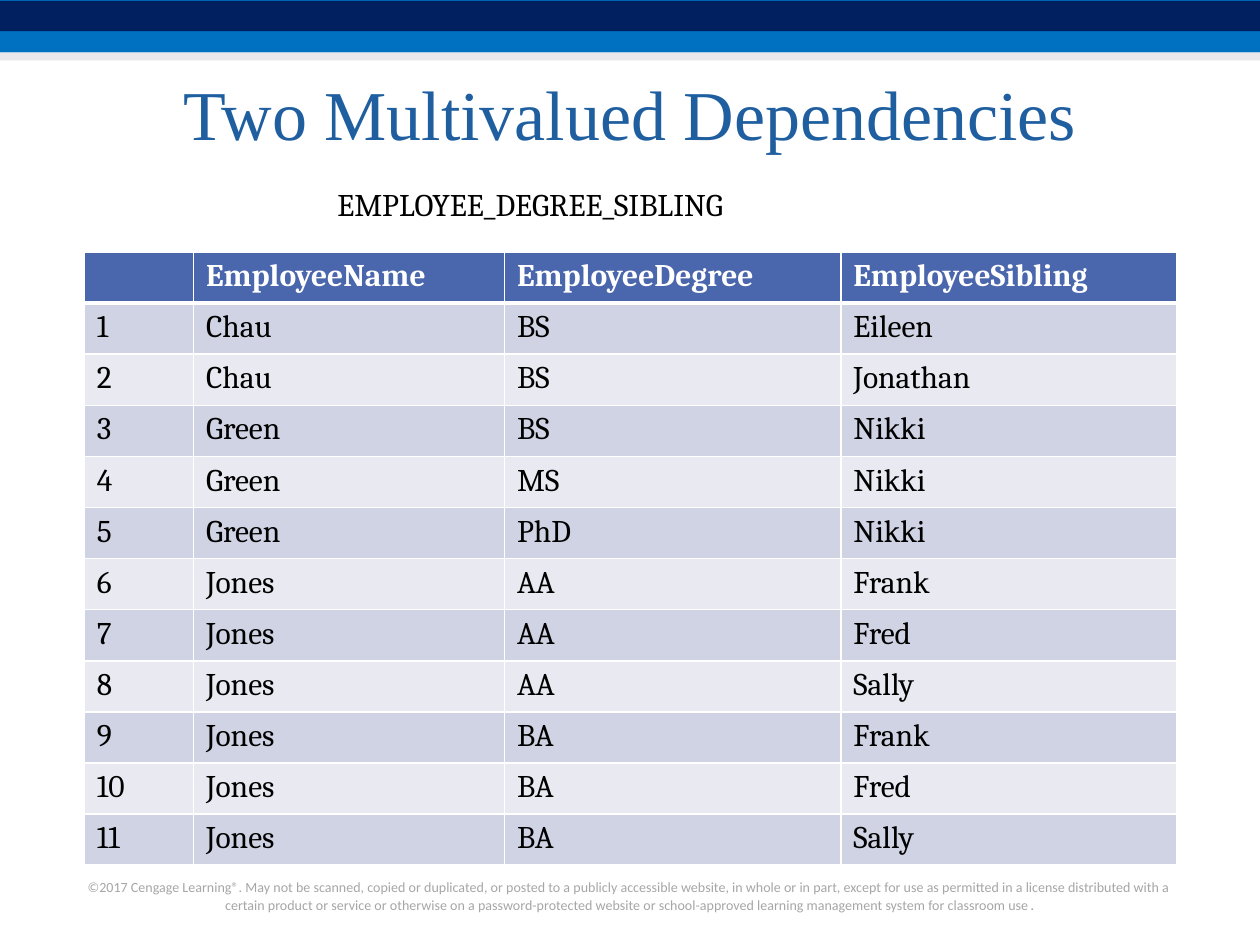
from lxml import etree
from pptx import Presentation
from pptx.dml.color import RGBColor
from pptx.enum.shapes import MSO_SHAPE
from pptx.enum.text import MSO_ANCHOR, MSO_AUTO_SIZE, PP_ALIGN
from pptx.oxml.ns import qn
from pptx.util import Cm, Pt

RECTANGLE = MSO_SHAPE.RECTANGLE
MIDDLE, TOP = MSO_ANCHOR.MIDDLE, MSO_ANCHOR.TOP
CENTER, LEFT = PP_ALIGN.CENTER, PP_ALIGN.LEFT
FIT_SHAPE = MSO_AUTO_SIZE.SHAPE_TO_FIT_TEXT

PAGE_WIDTH, PAGE_HEIGHT = 25.4, 19.05
ROW_HEIGHT = 1.03
COLUMN_WIDTHS = (2.2, 6.27, 6.78, 6.78)

HEADER = ("", "EmployeeName", "EmployeeDegree", "EmployeeSibling")
EMPLOYEES = (
    ("Chau", "BS", "Eileen"),
    ("Chau", "BS", "Jonathan"),
    ("Green", "BS", "Nikki"),
    ("Green", "MS", "Nikki"),
    ("Green", "PhD", "Nikki"),
    ("Jones", "AA", "Frank"),
    ("Jones", "AA", "Fred"),
    ("Jones", "AA", "Sally"),
    ("Jones", "BA", "Frank"),
    ("Jones", "BA", "Fred"),
    ("Jones", "BA", "Sally"),
)
COPYRIGHT = (
    "©2017 Cengage Learning®. May not be scanned, copied or duplicated, or posted to a "
    "publicly accessible website, in whole or in part, except for use as permitted in a "
    "license distributed with a certain product or service or otherwise on a "
    "password-protected website or school-approved learning management system for "
    "classroom use"
)


def color(code):
    return RGBColor.from_string(code)


class SlideBuilder:
    title_font, body_font, note_font = "Times New Roman", "Cambria", "Calibri"
    title_color, note_color = "1F5FA0", "A6A6A6"
    black, white = "000000", "FFFFFF"
    header_fill, band_fills = "4A66AC", ("D0D3E3", "E9EAF1")

    def __init__(self, deck):
        self.page = deck.slides.add_slide(deck.slide_layouts[6])

    def add_span(self, para, text, font, size, code, bold=False):
        span = para.add_run()
        span.text = text
        span.font.name = font
        span.font.size = Pt(size)
        span.font.bold = bold
        span.font.color.rgb = color(code)

    def add_band(self, top, height, code, opacity=100):
        band = self.page.shapes.add_shape(
            RECTANGLE, Cm(0), Cm(top), Cm(PAGE_WIDTH), Cm(height))
        band.shadow.inherit = False
        band.line.fill.background()
        band.fill.solid()
        band.fill.fore_color.rgb = color(code)
        if opacity < 100:
            tint = band.fill._xPr.find(".//" + qn("a:srgbClr"))
            etree.SubElement(tint, qn("a:alpha"), val=str(opacity * 1000))

    def add_text(self, left, top, width, height, spans, font, code,
                 align=LEFT, anchor=TOP, wrap=True, grow=False):
        box = self.page.shapes.add_textbox(Cm(left), Cm(top), Cm(width), Cm(height))
        frame = box.text_frame
        frame.word_wrap = wrap
        frame.vertical_anchor = anchor
        if grow:
            frame.auto_size = FIT_SHAPE
        para = frame.paragraphs[0]
        para.alignment = align
        for text, size in spans:
            self.add_span(para, text, font, size, code)

    def add_borders(self, cell, widths):
        properties = cell._tc.get_or_add_tcPr()
        for side, width in zip("LRTB", widths):
            line = etree.SubElement(properties, qn(f"a:ln{side}"), w=str(Pt(width)))
            fill = etree.SubElement(line, qn("a:solidFill"))
            etree.SubElement(fill, qn("a:srgbClr"), val=self.white)

    def add_table(self, left, top, rows):
        table = self.page.shapes.add_table(
            len(rows), len(COLUMN_WIDTHS), Cm(left), Cm(top),
            Cm(sum(COLUMN_WIDTHS)), Cm(ROW_HEIGHT * len(rows))).table
        for column, width in zip(table.columns, COLUMN_WIDTHS):
            column.width = Cm(width)
        for index, values in enumerate(rows):
            table.rows[index].height = Cm(ROW_HEIGHT)
            is_header = index == 0
            fill = self.header_fill if is_header else self.band_fills[(index - 1) % 2]
            text_color = self.white if is_header else self.black
            # The header is set off by a thick rule shared with the row below
            widths = (1, 1, 3 if index == 1 else 1, 3 if is_header else 1)
            for cell, value in zip(table.rows[index].cells, values):
                self.add_borders(cell, widths)
                cell.fill.solid()
                cell.fill.fore_color.rgb = color(fill)
                if value:
                    self.add_span(cell.text_frame.paragraphs[0], value,
                                  self.body_font, 18, text_color, is_header)


def main():
    deck = Presentation()
    deck.slide_width, deck.slide_height = Cm(PAGE_WIDTH), Cm(PAGE_HEIGHT)
    slide = SlideBuilder(deck)

    # Bands across the top
    slide.add_band(0, 1.06, "0070C0")
    slide.add_band(0.02, 0.61, "002060")
    slide.add_band(1.06, 0.16, "D8D3D9", opacity=50)

    # Copyright line
    slide.add_text(1.48, 17.58, 22.43, 0.99, [(COPYRIGHT, 8), (".", 9)],
                   slide.note_font, slide.note_color, align=CENTER, grow=True)

    # Title
    slide.add_text(1.27, 1.07, 22.86, 2.41, [("Two Multivalued Dependencies", 40)],
                   slide.title_font, slide.title_color, align=CENTER, anchor=MIDDLE)

    # Table of numbered rows and its name
    numbered = [(str(number), *row) for number, row in enumerate(EMPLOYEES, 1)]
    slide.add_table(1.7, 5.08, [HEADER, *numbered])
    slide.add_text(6.55, 3.61, 10.11, 1.02, [("EMPLOYEE_DEGREE_SIBLING", 18)],
                   slide.body_font, slide.black, wrap=False, grow=True)

    deck.save("out.pptx")


if __name__ == "__main__":
    main()
